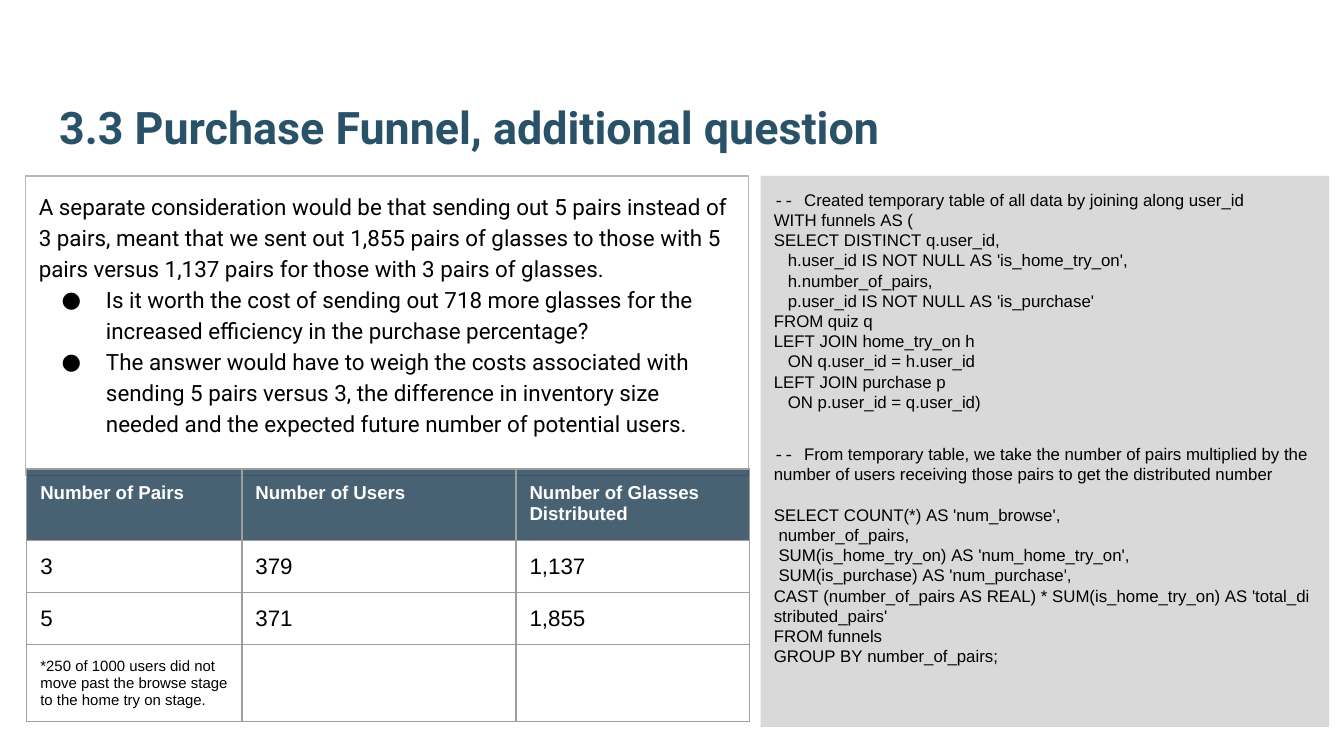
"""Build the purchase funnel slide with its note, table and query."""
from lxml import etree
from pptx import Presentation
from pptx.dml.color import RGBColor
from pptx.enum.shapes import MSO_SHAPE
from pptx.enum.text import MSO_ANCHOR, MSO_AUTO_SIZE, PP_ALIGN
from pptx.oxml.ns import qn
from pptx.util import Inches, Pt

RECT = MSO_SHAPE.RECTANGLE
TOP, BOTTOM = MSO_ANCHOR.TOP, MSO_ANCHOR.BOTTOM
FIXED, LEFT = MSO_AUTO_SIZE.NONE, PP_ALIGN.LEFT
HARD = chr(160)

TITLE = "3.3 Purchase Funnel, additional question"
INTRO = ("A separate consideration would be that sending out 5 pairs instead of 3 pairs, "
         "meant that we sent out 1,855 pairs of glasses to those with 5 pairs versus "
         "1,137 pairs for those with 3 pairs of glasses.")
POINTS = [
    "Is it worth the cost of sending out 718 more glasses for the increased efficiency "
    "in the purchase percentage?",
    "The answer would have to weigh the costs associated with sending 5 pairs versus 3, "
    "the difference in inventory size needed and the expected future number of "
    "potential users.",
]
ROWS = [
    ["Number of Pairs", "Number of Users", "Number of Glasses Distributed"],
    ["3", "379", "1,137"],
    ["5", "371", "1,855"],
    ["*250 of 1000 users did not move past the browse stage to the home try on stage.", "", ""],
]
JOIN_NOTE = "Created temporary table of all data by joining along user_id"
JOIN = """WITH funnels AS (
SELECT DISTINCT q.user_id,
   h.user_id IS NOT NULL AS 'is_home_try_on',
   h.number_of_pairs,
   p.user_id IS NOT NULL AS 'is_purchase'
FROM quiz q
LEFT JOIN home_try_on h
   ON q.user_id = h.user_id
LEFT JOIN purchase p
   ON p.user_id = q.user_id)"""
COUNT_NOTE = ("From temporary table, we take the number of pairs multiplied by the number "
              "of users receiving those pairs to get the distributed number")
COUNT = """SELECT COUNT(*) AS 'num_browse',
 number_of_pairs,
 SUM(is_home_try_on) AS 'num_home_try_on',
 SUM(is_purchase) AS 'num_purchase',
CAST (number_of_pairs AS REAL) * SUM(is_home_try_on) AS 'total_distributed_pairs'
FROM funnels
GROUP BY number_of_pairs;"""


def paint(value):
    return RGBColor.from_string(value)


def add(parent, tag, **attrs):
    return etree.SubElement(parent, qn(tag), attrs)


def write(frame, text, size=9, font="Arial", color="000000", bold=False,
          line=None, gap=0, bullet=False, mark=""):
    """Add one formatted paragraph to a text frame."""
    par = frame.paragraphs[0] if not frame.text else frame.add_paragraph()
    par.alignment = LEFT
    if line:
        par.line_spacing = line
    if gap:
        par.space_before = Pt(gap)
    if bullet:
        props = par._p.get_or_add_pPr()
        props.set("marL", str(Inches(0.5)))
        props.set("indent", str(Inches(-0.33)))
        add(add(props, "a:buClr"), "a:srgbClr", val=color)
        add(props, "a:buSzPts", val=str(size * 100))
        add(props, "a:buFont", typeface=font)
        add(props, "a:buChar", char="●")
    for words, face in ((mark, "Courier New"), (text, font)):
        if words:
            run = par.add_run()
            run.text = words
            run.font.name = face
            run.font.size = Pt(size)
            run.font.bold = bold
            run.font.color.rgb = paint(color)


class Deck:
    """Hold the style and the current slide."""
    ink, head, panel = "295269", "204056", "D9D9D9"
    edge, grid = "B7B7B7", "9E9E9E"
    face, pad = "Roboto", Inches(0.1)

    def __init__(self):
        self.show = Presentation()
        self.show.slide_width = Inches(10)
        self.show.slide_height = Inches(10) * 9 // 16
        self.slide = self.show.slides.add_slide(self.show.slide_layouts[5])

    def inset(self, item):
        item.margin_left = item.margin_right = self.pad
        item.margin_top = item.margin_bottom = self.pad

    def title(self, text, box):
        head = self.slide.shapes.title
        head.left, head.top, head.width, head.height = map(Inches, box)
        frame = head.text_frame
        self.inset(frame)
        frame.auto_size = FIXED
        frame.vertical_anchor = BOTTOM
        write(frame, text, size=24, font=self.face, color=self.ink, bold=True)

    def box(self, box, fill=None, edge=None):
        shape = self.slide.shapes.add_shape(RECT, *map(Inches, box))
        shape.shadow.inherit = False
        if fill:
            shape.fill.solid()
            shape.fill.fore_color.rgb = paint(fill)
        else:
            shape.fill.background()
        if edge:
            shape.line.color.rgb = paint(edge)
            shape.line.width = Pt(0.75)
        else:
            shape.line.fill.background()
        frame = shape.text_frame
        self.inset(frame)
        frame.word_wrap = True
        frame.vertical_anchor = TOP
        return frame

    def cell(self, cell, text, fill=None, **style):
        self.inset(cell)
        props = cell._tc.get_or_add_tcPr()
        for side in "LRTB":
            rule = add(props, "a:ln" + side, w=str(Pt(0.75)))
            add(add(rule, "a:solidFill"), "a:srgbClr", val=self.grid)
        if fill:
            cell.fill.solid()
            cell.fill.fore_color.rgb = paint(fill)
            add(props.find(qn("a:solidFill"))[0], "a:alpha", val="82000")
        else:
            cell.fill.background()
        if text:
            write(cell.text_frame, text, **style)

    def table(self, rows, box, wide, high):
        table = self.slide.shapes.add_table(len(rows), len(wide), *map(Inches, box)).table
        table.first_row = table.horz_banding = False
        for col, width in zip(table.columns, wide):
            col.width = Inches(width)
        looks = [dict(fill=self.head, size=10, color="FFFFFF", bold=True),
                 dict(size=12), dict(size=12), dict(size=8)]
        for r, (row, look) in enumerate(zip(rows, looks)):
            table.rows[r].height = Inches(high[r])
            for c, text in enumerate(row):
                self.cell(table.cell(r, c), text, **look)

    def query(self, box, parts):
        frame = self.box(box, fill=self.panel)
        for note, code, before, after in parts:
            write(frame, note, gap=before, mark="--" + HARD)
            for i, text in enumerate(code.splitlines()):
                write(frame, text.replace(" ", HARD), gap=0 if i else after)

    def note(self, box, intro, points):
        frame = self.box(box, edge=self.edge)
        style = dict(size=12, font=self.face, line=1.15)
        write(frame, intro, **style)
        for text in points:
            write(frame, text, bullet=True, **style)


def main():
    deck = Deck()
    deck.title(TITLE, (0.34, 0.32, 9.32, 0.92))
    deck.query((5.66, 1.31, 4.23, 4.1),
               [(JOIN_NOTE, JOIN, 0, 0), (COUNT_NOTE, COUNT, 17, 11)])
    deck.note((0.19, 1.31, 5.38, 2.23), INTRO, POINTS)
    deck.table(ROWS, (0.2, 3.49, 5.38, 1.64), (1.6, 2.04, 1.74), (0.53, 0.37, 0.37, 0.37))
    deck.show.save("out.pptx")


if __name__ == "__main__":
    main()
